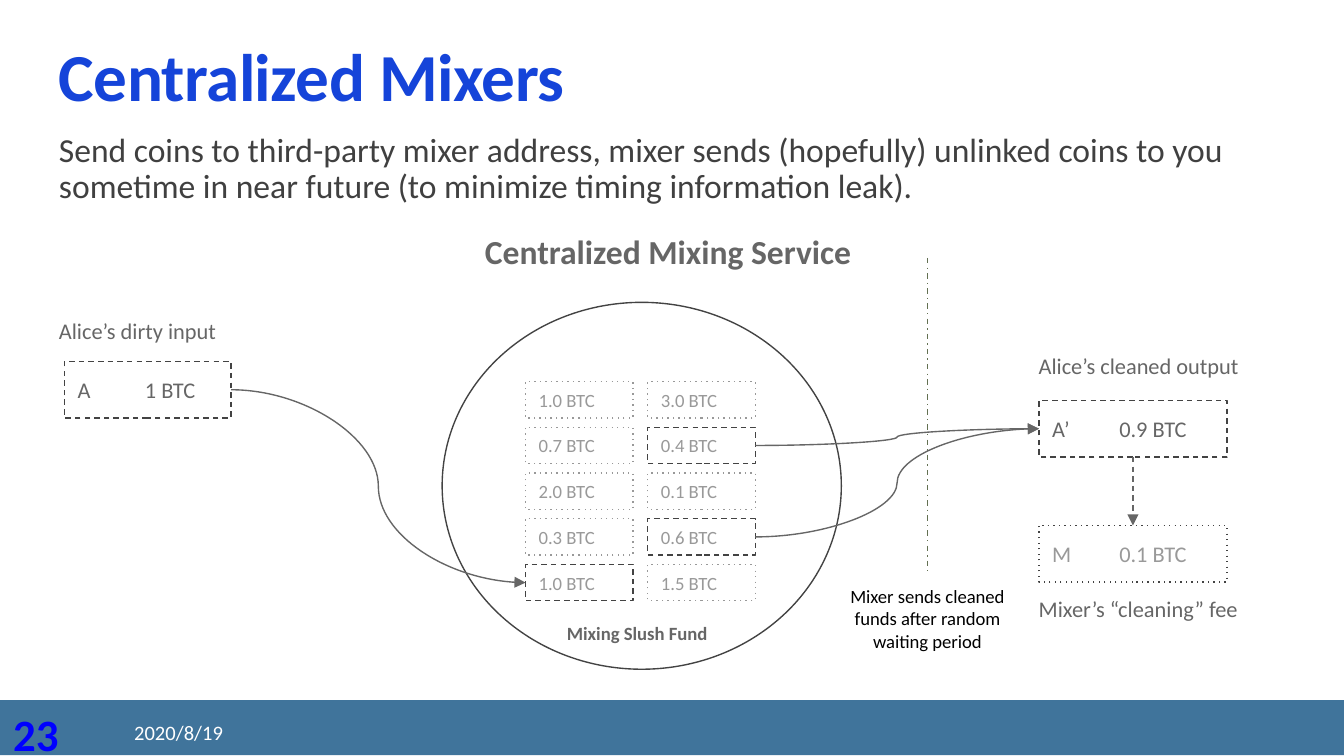
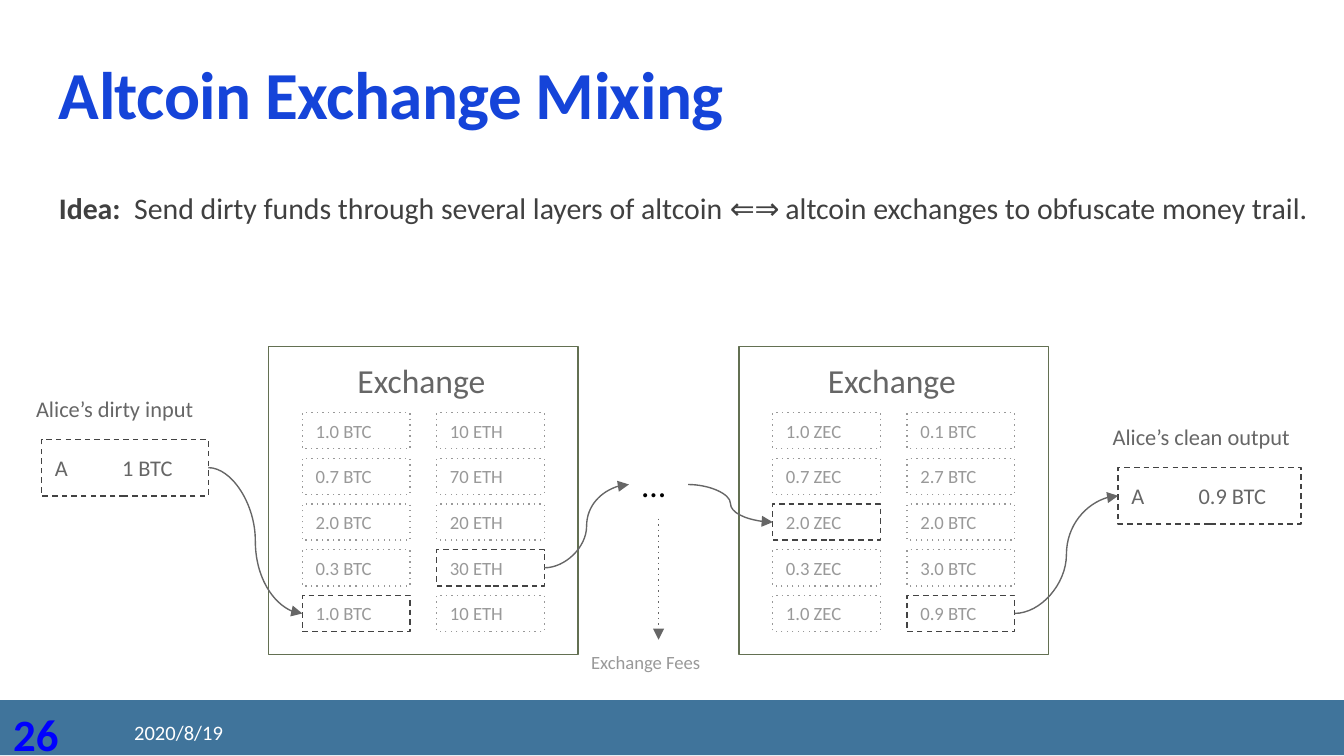
from lxml.etree import SubElement
from pptx import Presentation
from pptx.dml.color import RGBColor
from pptx.enum.shapes import MSO_CONNECTOR, MSO_SHAPE
from pptx.enum.text import MSO_ANCHOR, PP_ALIGN
from pptx.oxml.ns import qn
from pptx.util import Inches, Pt

# Content
DATE = "2020/8/19"
MIX = {
    "num": "23",
    "title": "Centralized Mixers",
    "body": [("Send coins to third-party mixer address, mixer sends (hopefully) "
              "unlinked coins to you sometime in near future (to minimize timing "
              "information leak).", False)],
    "fund": [["1.0 BTC", "0.7 BTC", "2.0 BTC", "0.3 BTC", "1.0 BTC"],
             ["3.0 BTC", "0.4 BTC", "0.1 BTC", "0.6 BTC", "1.5 BTC"]],
    "used": [(0, 4), (1, 1), (1, 3)],
}
SWAP = {
    "num": "26",
    "title": "Altcoin Exchange Mixing",
    "body": [("Idea: ", True),
             (" Send dirty funds through several layers of altcoin ⇐⇒ altcoin "
              "exchanges to obfuscate money trail.", False)],
    "desks": [
        {"left": 2.0, "used": [(0, 4), (1, 3)],
         "coins": [["1.0 BTC", "0.7 BTC", "2.0 BTC", "0.3 BTC", "1.0 BTC"],
                   ["10 ETH", "70 ETH", "20 ETH", "30 ETH", "10 ETH"]]},
        {"left": 5.5, "used": [(0, 2), (1, 4)],
         "coins": [["1.0 ZEC", "0.7 ZEC", "2.0 ZEC", "0.3 ZEC", "1.0 ZEC"],
                   ["0.1 BTC", "2.7 BTC", "2.0 BTC", "3.0 BTC", "0.9 BTC"]]},
    ],
}

# Style
FONT = "Calibri"
HUES = {"title": "1544D9", "body": "404040", "band": "40749B", "num": "0000FF",
        "white": "FFFFFF", "black": "000000", "dark": "434343", "mid": "666666",
        "pale": "999999", "olive": "637052"}
DASH, DOT = "dash", "dot"
TOP, LEFT, BASE, RIGHT = range(4)
WIDE = Inches(10)
TALL = WIDE * 9 // 16
PITCH = 0.34


def hue(name):
    return RGBColor.from_string(HUES[name])


def write(shape, runs, size, color, bold=False, anchor=MSO_ANCHOR.TOP,
          align=PP_ALIGN.LEFT, pad=0.1):
    """Fill a shape with one paragraph of (text, bold) runs."""
    frame = shape.text_frame
    frame.word_wrap = True
    frame.vertical_anchor = anchor
    frame.margin_left = frame.margin_right = Inches(0.1)
    frame.margin_top = frame.margin_bottom = Inches(pad)
    para = frame.paragraphs[0]
    para.alignment = align
    for text, heavy in [(runs, bold)] if isinstance(runs, str) else runs:
        run = para.add_run()
        run.text = text
        font = run.font
        font.name, font.size, font.bold = FONT, Pt(size), heavy
        font.color.rgb = hue(color)
    return para


def label(slide, text, at, size=12, color="mid", **style):
    shape = slide.shapes.add_textbox(*map(Inches, at))
    write(shape, text, size, color, **style)
    return shape


def stroke(shape, color, dash=None):
    shape.line.color.rgb = hue(color)
    shape.line.width = Pt(0.75)
    if dash:
        SubElement(shape.line._get_or_add_ln(), qn("a:prstDash"), val=dash)


def box(slide, at, kind=MSO_SHAPE.RECTANGLE, fill=None, line=None, dash=None):
    shape = slide.shapes.add_shape(kind, *map(Inches, at))
    shape.shadow.inherit = False
    if fill:
        shape.fill.solid()
        shape.fill.fore_color.rgb = hue(fill)
    else:
        shape.fill.background()
    if line:
        stroke(shape, line, dash)
    else:
        shape.line.fill.background()
    return shape


def coin(slide, owner, total, left, top, width, color="mid", dash=DASH):
    """Wallet box: owner, tab, amount."""
    shape = box(slide, (left, top, width, 0.42), line="dark", dash=dash)
    para = write(shape, f"{owner}\t{total}", 12, color, anchor=MSO_ANCHOR.MIDDLE)
    tabs = SubElement(para._p.get_or_add_pPr(), qn("a:tabLst"))
    SubElement(tabs, qn("a:tab"), pos=str(Inches(0.5)), algn="l")
    return shape


def grid(slide, coins, used, left, top, step):
    """Columns of small coin boxes; used ones get a dark dashed edge."""
    slots = {}
    for col, names in enumerate(coins):
        for row, name in enumerate(names):
            key = col, row
            line, dash = ("dark", DASH) if key in used else ("pale", DOT)
            at = (left + col * step, top + row * PITCH, 0.8, 0.27)
            slots[key] = box(slide, at, line=line, dash=dash)
            write(slots[key], name, 10, "pale", anchor=MSO_ANCHOR.MIDDLE)
    return slots


def rule(slide, kind, ends, color, dash=None):
    line = slide.shapes.add_connector(kind, *map(Inches, ends))
    stroke(line, color, dash)
    SubElement(line._element.spPr, qn("a:effectLst"))
    return line


def link(slide, start, end, sides=(RIGHT, LEFT), dash=None):
    """Arrow between two shapes: curved across, straight down."""
    kind = MSO_CONNECTOR.CURVE if sides[0] == RIGHT else MSO_CONNECTOR.STRAIGHT
    line = rule(slide, kind, (0, 0, 1, 1), "mid", dash)
    line.begin_connect(start, sides[0])
    line.end_connect(end, sides[1])
    SubElement(line.line._get_or_add_ln(), qn("a:tailEnd"), type="triangle")


def base(deck, data, title, body, size):
    """Band, number, date, title and lead text."""
    slide = deck.slides.add_slide(deck.slide_layouts[6])
    box(slide, (0, 5.21, 10, 0.41), fill="band")
    label(slide, data["num"], (0, 5.21, 0.69, 0.4), 24, "num", bold=True, pad=0.05)
    label(slide, DATE, (0.9, 5.3, 2.03, 0.3), 11, "white",
          anchor=MSO_ANCHOR.MIDDLE, pad=0.05)
    head = label(slide, data["title"], title, 36, "title", bold=True,
                 anchor=MSO_ANCHOR.BOTTOM).text_frame.paragraphs[0]
    head.line_spacing = 0.85
    head.runs[0].font._element.set("spc", "-30")
    lead = label(slide, data["body"], body, size, "body").text_frame.paragraphs[0]
    lead.line_spacing = 0.9
    lead.space_after = Pt(16)
    return slide


def mixer(deck):
    slide = base(deck, MIX, (0.34, 0.35, 9.32, 0.61), (0.34, 0.89, 9.32, 0.72), 18)
    # Mixing service
    fund = box(slide, (4.12, 4.53, 1.4, 0.36), fill="white", line="white")
    write(fund, "Mixing Slush Fund", 10, "mid", bold=True)
    box(slide, (3.29, 2.25, 2.97, 2.73), MSO_SHAPE.OVAL, line="dark")
    label(slide, "Centralized Mixing Service", (3.51, 1.62, 3, 0.51), 18, bold=True)
    slots = grid(slide, MIX["fund"], MIX["used"], 3.91, 2.84, 0.91)
    # Alice and the fee
    label(slide, "Alice’s dirty input", (0.34, 2.26, 1.52, 0.51))
    dirty = coin(slide, "A", "1 BTC", 0.48, 2.69, 1.24)
    label(slide, "Alice’s cleaned output", (7.63, 2.52, 1.86, 0.51))
    clean = coin(slide, "A’", "0.9 BTC", 7.73, 2.98, 1.4)
    fee = coin(slide, "M", "0.1 BTC", 7.73, 3.91, 1.4, "pale", DOT)
    label(slide, "Mixer’s “cleaning” fee", (7.63, 4.33, 1.99, 0.51))
    # Waiting period
    wait = label(slide, "Mixer sends cleaned funds after random waiting period",
                 (6.09, 4.25, 1.62, 0.58), 10, "black", align=PP_ALIGN.CENTER)
    line = rule(slide, MSO_CONNECTOR.STRAIGHT, (6.9, 1.92, 6.9, 4.25), "olive",
                "dashDot")
    line.end_connect(wait, TOP)
    # Flow
    link(slide, dirty, slots[0, 4])
    link(slide, slots[1, 1], clean)
    link(slide, slots[1, 3], clean)
    link(slide, clean, fee, (BASE, TOP), DASH)


def swap(deck):
    slide = base(deck, SWAP, (0.34, 0.35, 9.32, 0.74), (0.34, 1.34, 9.6, 0.45), 16)
    # Exchanges
    desks = []
    for desk in SWAP["desks"]:
        left = desk["left"]
        pane = box(slide, (left, 2.58, 2.3, 2.29), line="olive")
        write(pane, "Exchange", 18, "mid")
        pane.text_frame.margin_left = Inches(0.66)
        desks.append(grid(slide, desk["coins"], desk["used"], left + 0.25, 3.07, 1))
    first, last = desks
    # Alice
    label(slide, "Alice’s dirty input", (0.17, 2.84, 1.52, 0.51))
    dirty = coin(slide, "A", "1 BTC", 0.31, 3.27, 1.24)
    label(slide, "Alice’s clean output", (8.18, 3.05, 1.65, 0.51))
    clean = coin(slide, "A", "0.9 BTC", 8.32, 3.48, 1.36)
    # Hidden steps and fees
    more = label(slide, "…", (4.68, 3.35, 0.44, 0.51), 18, "black")
    fees = label(slide, "Exchange Fees", (4.3, 4.76, 1.2, 0.51), 10, "pale")
    # Flow
    link(slide, dirty, first[0, 4])
    link(slide, first[1, 3], more)
    link(slide, more, last[0, 2])
    link(slide, last[1, 4], clean)
    link(slide, more, fees, (BASE, TOP), DOT)


def main():
    deck = Presentation()
    deck.slide_width, deck.slide_height = WIDE, TALL
    mixer(deck)
    swap(deck)
    deck.save("out.pptx")


if __name__ == "__main__":
    main()
